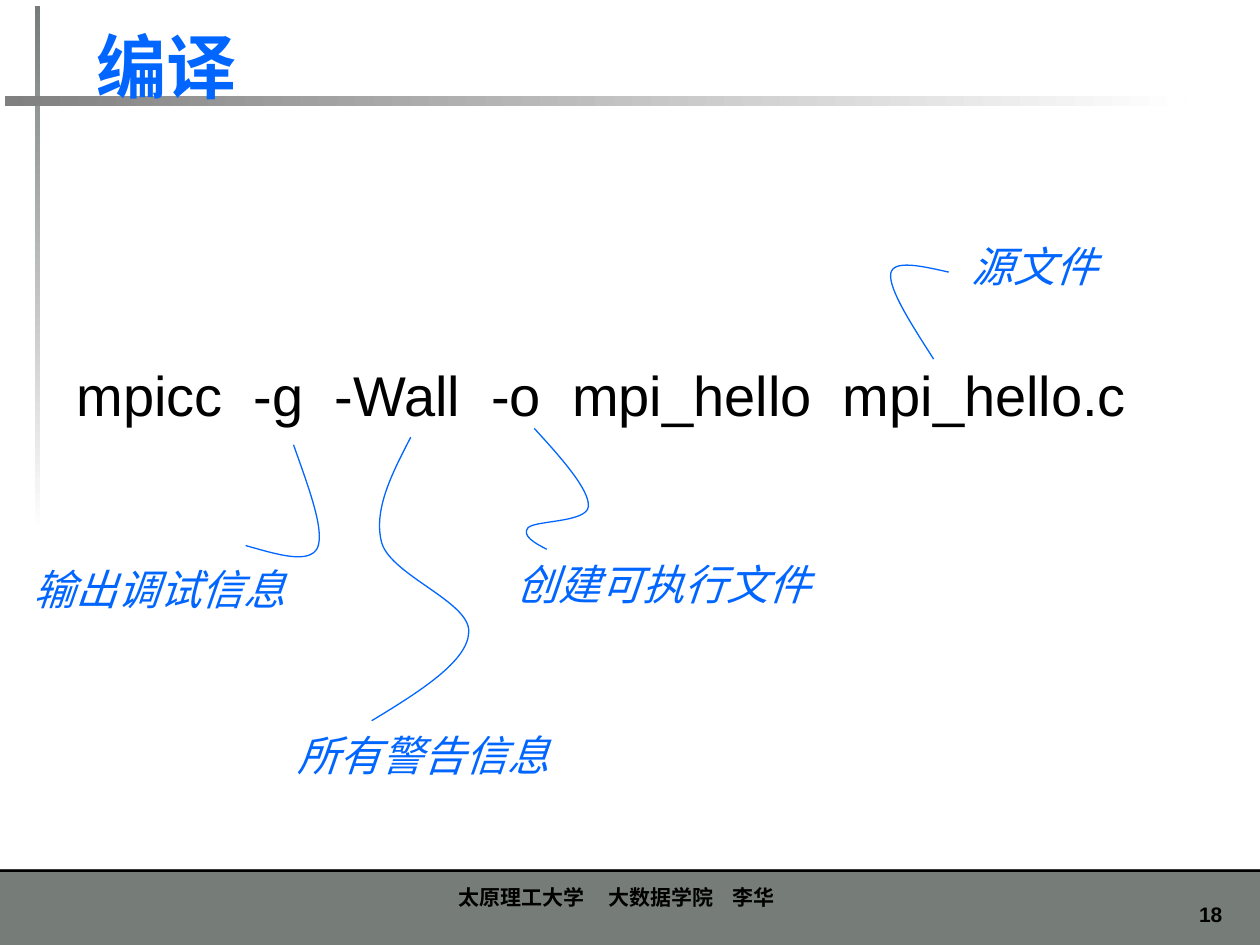
"""Build the slide that explains the mpicc compile command."""
import pptx
import pptx.dml.color
import pptx.enum.shapes
import pptx.enum.text
import pptx.oxml.ns
import pptx.util

Inches = pptx.util.Inches
Align = pptx.enum.text.PP_ALIGN
Anchor = pptx.enum.text.MSO_ANCHOR


def colour(value):
    return pptx.dml.color.RGBColor.from_string(value)


class CommandSlide:
    font = "Arial"
    accent = "0066FF"
    ink = "000000"
    band = "767D79"

    def __init__(self, presentation):
        self.slide = presentation.slides.add_slide(presentation.slide_layouts[6])

    def bar(self, left, top, width, height, fill, fade_angle=None):
        bar = self.slide.shapes.add_shape(
            pptx.enum.shapes.MSO_SHAPE.RECTANGLE,
            Inches(left), Inches(top), Inches(width), Inches(height))
        bar.shadow.inherit = False
        bar.line.fill.background()
        if fade_angle is None:
            bar.fill.solid()
            bar.fill.fore_color.rgb = colour(fill)
        else:
            bar.fill.gradient()
            bar.fill.gradient_angle = fade_angle
            for stop, shade in zip(bar.fill.gradient_stops, (fill, "FFFFFF")):
                stop.color.rgb = colour(shade)

    def text(self, words, left, top, width, height, size, ink=ink, bold=False,
             italic=False, align=Align.LEFT, anchor=Anchor.TOP, wrap=True,
             inset=0.1, tabs=()):
        box = self.slide.shapes.add_textbox(
            Inches(left), Inches(top), Inches(width), Inches(height))
        frame = box.text_frame
        frame.word_wrap = wrap
        frame.vertical_anchor = anchor
        frame.margin_left = Inches(inset)
        frame.text = words
        paragraph = frame.paragraphs[0]
        paragraph.alignment = align
        if tabs:
            properties = paragraph._p.get_or_add_pPr()
            stops = properties.makeelement(pptx.oxml.ns.qn("a:tabLst"), {})
            properties.append(stops)
            for position in tabs:
                stops.append(stops.makeelement(
                    pptx.oxml.ns.qn("a:tab"), {"pos": str(Inches(position)), "algn": "l"}))
        for run in paragraph.runs:
            run.font.name = self.font
            run.font.size = pptx.util.Pt(size)
            run.font.bold = bold
            run.font.italic = italic
            run.font.color.rgb = colour(ink)

    def label(self, words, left, top):
        size = 24
        self.text(words, left, top, len(words) * size / 72 + 0.2, 0.5, size,
                  self.accent, italic=True, wrap=False)

    def curve(self, *points):
        start, *controls = [(Inches(x), Inches(y)) for x, y in points]
        builder = self.slide.shapes.build_freeform(*start)
        builder.add_line_segments(controls, close=False)
        curve = builder.convert_to_shape()
        curve.shadow.inherit = False
        curve.fill.background()
        curve.line.color.rgb = colour(self.accent)
        curve.line.width = pptx.util.Pt(0.75)
        outline = next(curve._element.iter(pptx.oxml.ns.qn("a:path")))
        segments = outline.findall(pptx.oxml.ns.qn("a:lnTo"))
        for first in range(0, len(segments), 3):
            bezier = outline.makeelement(pptx.oxml.ns.qn("a:cubicBezTo"), {})
            outline.append(bezier)
            for segment in segments[first:first + 3]:
                bezier.append(segment[0])
                outline.remove(segment)


def main():
    presentation = pptx.Presentation()
    presentation.slide_width = Inches(10)
    presentation.slide_height = Inches(7.5)
    page = CommandSlide(presentation)

    page.bar(0, 6.9, 10, 0.6, page.band)
    page.bar(0, 6.9, 10, 0.02, page.ink)
    page.text("18", 9.17, 7.11, 0.63, 0.3, 12, bold=True, align=Align.RIGHT)
    page.bar(0.28, 0.05, 0.04, 4.17, page.band, fade_angle=270)
    page.bar(0.04, 0.76, 9.37, 0.08, "808080", fade_angle=0)
    page.text("太原理工大学\t大数据学院\t李华", 1.02, 6.88, 7.95, 0.39, 12, bold=True,
              anchor=Anchor.BOTTOM, inset=2.62, tabs=(1.19, 2.17))

    page.text("编译", 0.67, 0.13, 9.06, 0.77, 40, page.accent, bold=True,
              anchor=Anchor.BOTTOM)
    page.text("mpicc  -g  -Wall  -o  mpi_hello  mpi_hello.c",
              0.51, 2.81, 8.98, 0.64, 32)

    for words, left, top in (("所有警告信息", 2.26, 5.74), ("源文件", 7.61, 1.86),
                             ("创建可执行文件", 4, 4.38), ("输出调试信息", 0.17, 4.42)):
        page.label(words, left, top)

    page.curve((7.53, 2.16), (7.31, 2.11), (7.09, 2.06), (7.07, 2.17),
               (7.05, 2.29), (7.23, 2.57), (7.41, 2.85))
    page.curve((1.95, 4.33), (2.2, 4.4), (2.45, 4.48), (2.52, 4.35),
               (2.58, 4.21), (2.45, 3.87), (2.33, 3.53))
    page.curve((2.95, 5.72), (3.33, 5.49), (3.71, 5.25), (3.72, 5.02),
               (3.74, 4.78), (3.11, 4.57), (3.03, 4.31),
               (2.96, 4.05), (3.11, 3.76), (3.26, 3.47))
    page.curve((4.34, 4.36), (4.24, 4.31), (4.14, 4.25), (4.19, 4.19),
               (4.24, 4.13), (4.66, 4.15), (4.67, 4.02),
               (4.68, 3.89), (4.46, 3.64), (4.24, 3.4))

    presentation.save("out.pptx")


if __name__ == "__main__":
    main()
